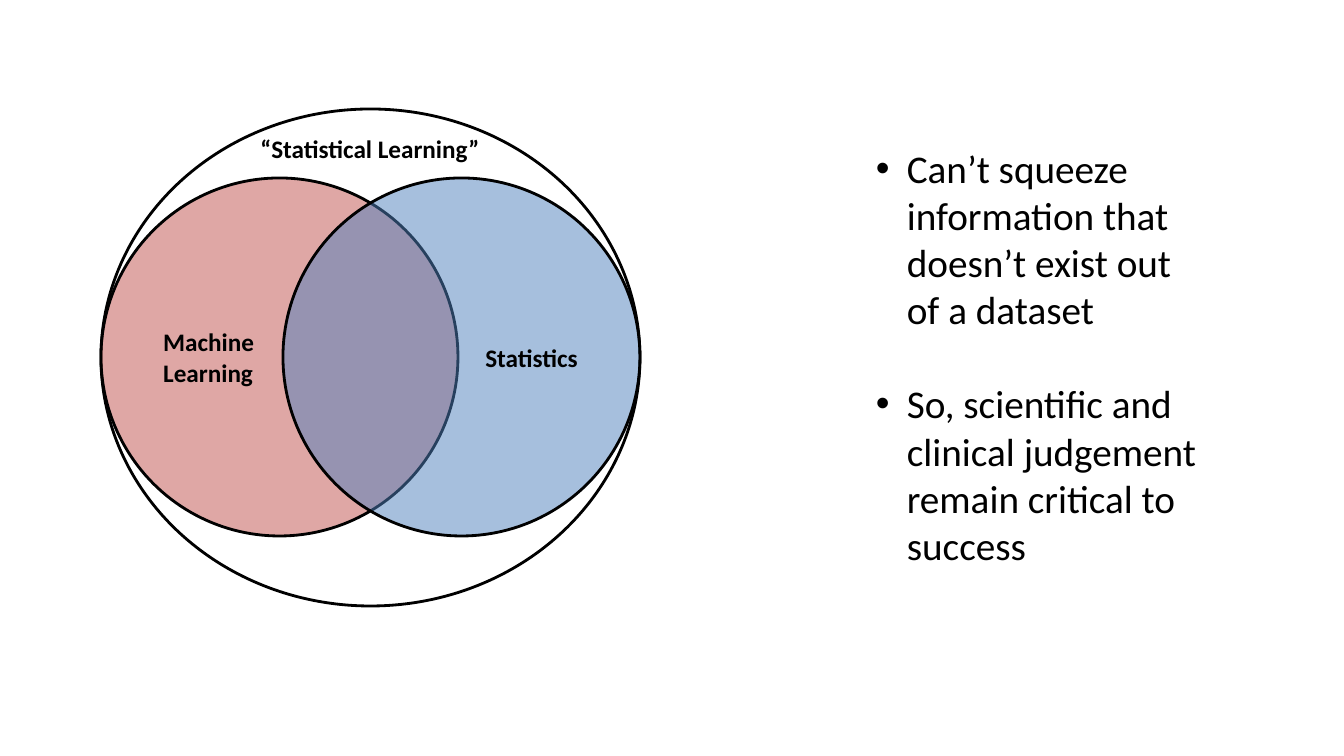
"""Build a slide with a Venn diagram of statistical learning and two takeaways."""
from dataclasses import dataclass

from lxml.etree import SubElement
from pptx import Presentation
from pptx.dml.color import RGBColor
from pptx.enum.shapes import MSO_SHAPE
from pptx.enum.text import MSO_ANCHOR as Anchor, PP_ALIGN as Align
from pptx.oxml.ns import qn
from pptx.util import Emu, Pt

EMU_PER_PX = 914400 / 100.8


def px(length):
    return Emu(round(length * EMU_PER_PX))


@dataclass(frozen=True)
class Theme:
    font: str = "Calibri"
    ink: str = "000000"
    paper: str = "FFFFFF"
    red: str = "C0504D"
    blue: str = "4F81BD"
    label_size: int = 18
    body_size: int = 28
    outline: int = 2


def write(frame, paragraphs, *, font, size, color, bold=False, align=Align.LEFT,
          anchor=Anchor.TOP, bullet_indent=0, gap=0):
    frame.word_wrap = True
    frame.vertical_anchor = anchor
    for index, text in enumerate(paragraphs):
        paragraph = frame.add_paragraph() if index else frame.paragraphs[0]
        paragraph.alignment = align
        if index and gap:
            paragraph.space_before = Pt(gap)
        if bullet_indent:
            properties = paragraph._p.get_or_add_pPr()
            properties.set("marL", str(px(bullet_indent)))
            properties.set("indent", str(-px(bullet_indent)))
            SubElement(properties, qn("a:buFont"), typeface="Arial")
            SubElement(properties, qn("a:buChar"), char="•")
        run = paragraph.add_run()
        run.text = text
        run.font.name = font
        run.font.size = Pt(size)
        run.font.bold = bold
        run.font.color.rgb = RGBColor.from_string(color)


class SlideBuilder:
    def __init__(self, slide, theme):
        self.slide = slide
        self.theme = theme

    def ellipse(self, left, top, width, height, fill, opacity=100):
        oval = self.slide.shapes.add_shape(
            MSO_SHAPE.OVAL, px(left), px(top), px(width), px(height))
        oval.shadow.inherit = False
        oval.fill.solid()
        oval.fill.fore_color.rgb = RGBColor.from_string(fill)
        if opacity < 100:
            color = oval.fill._xPr.find(qn("a:solidFill"))[0]
            SubElement(color, qn("a:alpha"), val=str(opacity * 1000))
        oval.line.color.rgb = RGBColor.from_string(self.theme.ink)
        oval.line.width = Pt(self.theme.outline)
        return oval

    def label(self, shape, lines, align):
        write(shape.text_frame, lines, font=self.theme.font,
              size=self.theme.label_size, color=self.theme.ink, bold=True,
              align=align, anchor=Anchor.MIDDLE)

    def text_box(self, left, top, width, height):
        return self.slide.shapes.add_textbox(
            px(left), px(top), px(width), px(height))

    def bullets(self, left, top, width, height, points):
        takeaways = self.text_box(left, top, width, height)
        write(takeaways.text_frame, points, font=self.theme.font,
              size=self.theme.body_size, color=self.theme.ink,
              bullet_indent=31, gap=34)


def main():
    theme = Theme()
    deck = Presentation()
    deck.slide_width, deck.slide_height = px(1344), px(756)
    builder = SlideBuilder(deck.slides.add_slide(deck.slide_layouts[6]), theme)

    builder.bullets(866, 139, 354, 437, [
        "Can’t squeeze information that doesn’t exist out of a dataset",
        "So, scientific and clinical judgement remain critical to success",
    ])

    builder.ellipse(101, 109, 539, 497, theme.paper)
    builder.label(builder.text_box(221, 128, 298, 40),
                  ["“Statistical Learning”"], Align.CENTER)

    fields = [
        (101, theme.red, ["Machine", "Learning"], Align.LEFT),
        (283, theme.blue, ["Statistics"], Align.RIGHT),
    ]
    for left, color, lines, align in fields:
        field = builder.ellipse(left, 178, 357, 358, color, opacity=50)
        builder.label(field, lines, align)

    deck.save("out.pptx")


if __name__ == "__main__":
    main()
